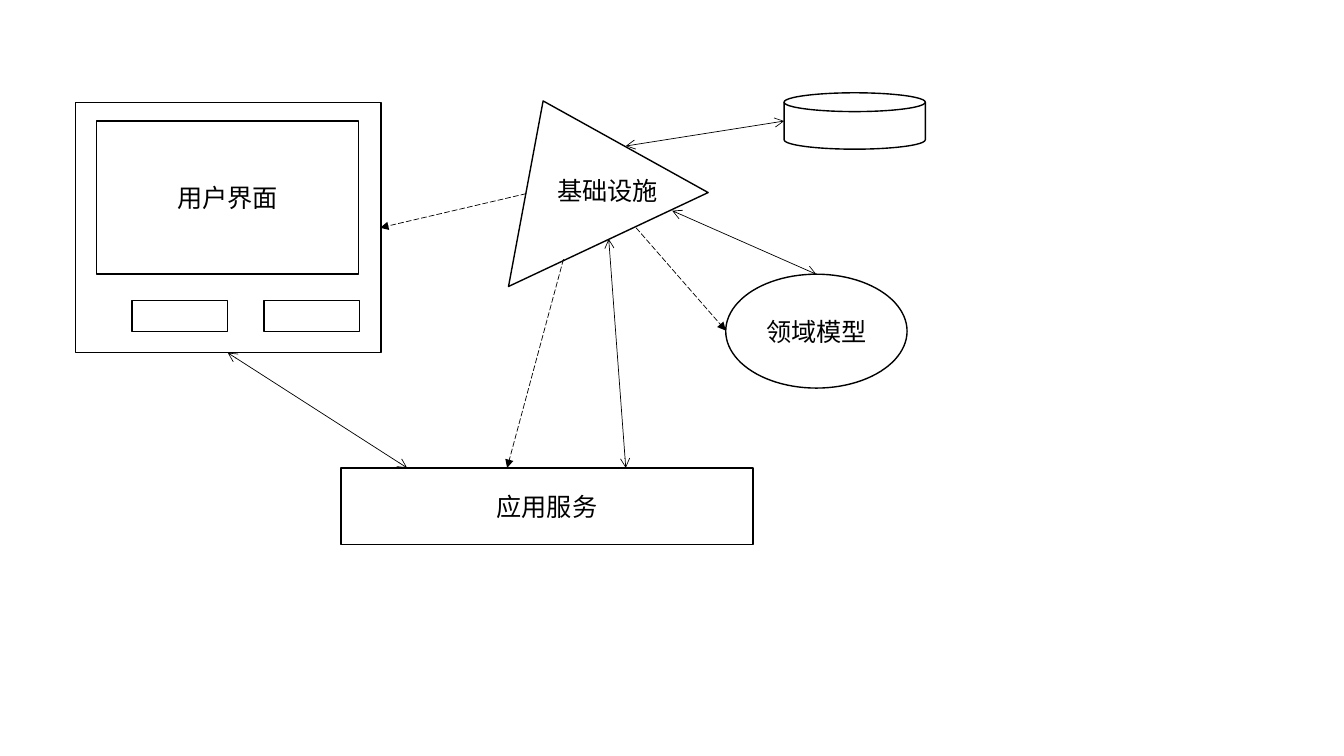
from dataclasses import dataclass

from lxml import etree
from pptx import Presentation
from pptx import util as u
from pptx.dml.color import RGBColor
from pptx.enum import dml, shapes, text
from pptx.oxml.ns import qn


@dataclass(frozen=True)
class Theme:
    ink: RGBColor = RGBColor(0x00, 0x00, 0x00)
    paper: RGBColor = RGBColor(0xFF, 0xFF, 0xFF)
    font: str = "Noto Sans CJK SC"
    label_size: u.Pt = u.Pt(18)
    outline: u.Pt = u.Pt(1)
    arrow: u.Pt = u.Pt(0.5)


THEME = Theme()
KIND = shapes.MSO_SHAPE


def write_label(frame, wording, align):
    paragraph = frame.paragraphs[0]
    paragraph.text = wording
    paragraph.alignment = align
    font = paragraph.font
    font.name = THEME.font
    font.size = THEME.label_size
    font.color.rgb = THEME.ink
    # Chinese glyphs take the East Asian typeface
    defaults = paragraph._p.pPr.find(qn("a:defRPr"))
    etree.SubElement(defaults, qn("a:ea"), typeface=THEME.font)


def add_part(slide, kind, box, wording=None, rotation=0):
    """Add an outlined shape; box is left, top, width, height in cm."""
    part = slide.shapes.add_shape(kind, *map(u.Cm, box))
    part.rotation = rotation
    part.shadow.inherit = False
    part.fill.solid()
    part.fill.fore_color.rgb = THEME.paper
    part.line.color.rgb = THEME.ink
    part.line.width = THEME.outline
    if wording:
        part.text_frame.vertical_anchor = text.MSO_ANCHOR.MIDDLE
        write_label(part.text_frame, wording, text.PP_ALIGN.CENTER)


def add_free_label(slide, box, wording):
    frame = slide.shapes.add_textbox(*map(u.Cm, box)).text_frame
    frame.word_wrap = False
    frame.auto_size = text.MSO_AUTO_SIZE.SHAPE_TO_FIT_TEXT
    write_label(frame, wording, text.PP_ALIGN.LEFT)


def add_arrow(slide, ends, dashed):
    """Add a dashed one-way arrow or a solid two-way arrow."""
    arrow = slide.shapes.add_connector(
        shapes.MSO_CONNECTOR.STRAIGHT, *map(u.Cm, ends))
    arrow.line.color.rgb = THEME.ink
    arrow.line.width = THEME.arrow
    if dashed:
        arrow.line.dash_style = dml.MSO_LINE.LONG_DASH
        heads = {"a:tailEnd": "triangle"}
    else:
        heads = {"a:headEnd": "arrow", "a:tailEnd": "arrow"}
    properties = arrow._element.spPr
    for tag, head in heads.items():
        etree.SubElement(properties.find(qn("a:ln")), qn(tag), type=head)
    etree.SubElement(properties, qn("a:effectLst"))


def add_user_interface(slide):
    add_part(slide, KIND.RECTANGLE, (1.9, 2.59, 7.7, 6.3))
    add_part(slide, KIND.RECTANGLE, (2.44, 3.05, 6.6, 3.86), "用户界面")
    for button in range(2):
        add_part(slide, KIND.RECTANGLE, (3.33 + 3.32 * button, 7.57, 2.41, 0.79))


def add_infrastructure(slide):
    add_part(slide, KIND.ISOSCELES_TRIANGLE, (11.73, 2.36, 5.56, 3.86), rotation=334.8)
    add_free_label(slide, (13.79, 4.29, 3.07, 1.02), "基础设施")


def main():
    deck = Presentation()
    deck.slide_width, deck.slide_height = u.Cm(33.87), u.Cm(19.05)
    slide = deck.slides.add_slide(deck.slide_layouts.get_by_name("Blank"))

    add_user_interface(slide)
    add_infrastructure(slide)
    add_part(slide, KIND.FLOWCHART_MAGNETIC_DISK, (19.76, 2.34, 3.56, 1.42))
    add_part(slide, KIND.OVAL, (18.29, 6.91, 4.57, 2.87), "领域模型")
    add_part(slide, KIND.RECTANGLE, (8.59, 11.79, 10.39, 1.93), "应用服务")

    infrastructure_support = (
        (13.26, 4.88, 9.58, 5.74),    # to the user interface
        (16.03, 5.74, 18.29, 8.33),   # to the domain model
        (14.2, 6.53, 12.78, 11.79),   # to the application service
    )
    exchanges = (
        (15.77, 3.68, 19.76, 3.05),   # infrastructure and database
        (16.94, 5.31, 20.57, 6.91),   # infrastructure and domain model
        (15.34, 6.02, 15.77, 11.79),  # infrastructure and service
        (5.74, 8.89, 10.26, 11.79),   # user interface and service
    )
    for ends in infrastructure_support:
        add_arrow(slide, ends, dashed=True)
    for ends in exchanges:
        add_arrow(slide, ends, dashed=False)

    deck.save("out.pptx")


if __name__ == "__main__":
    main()
